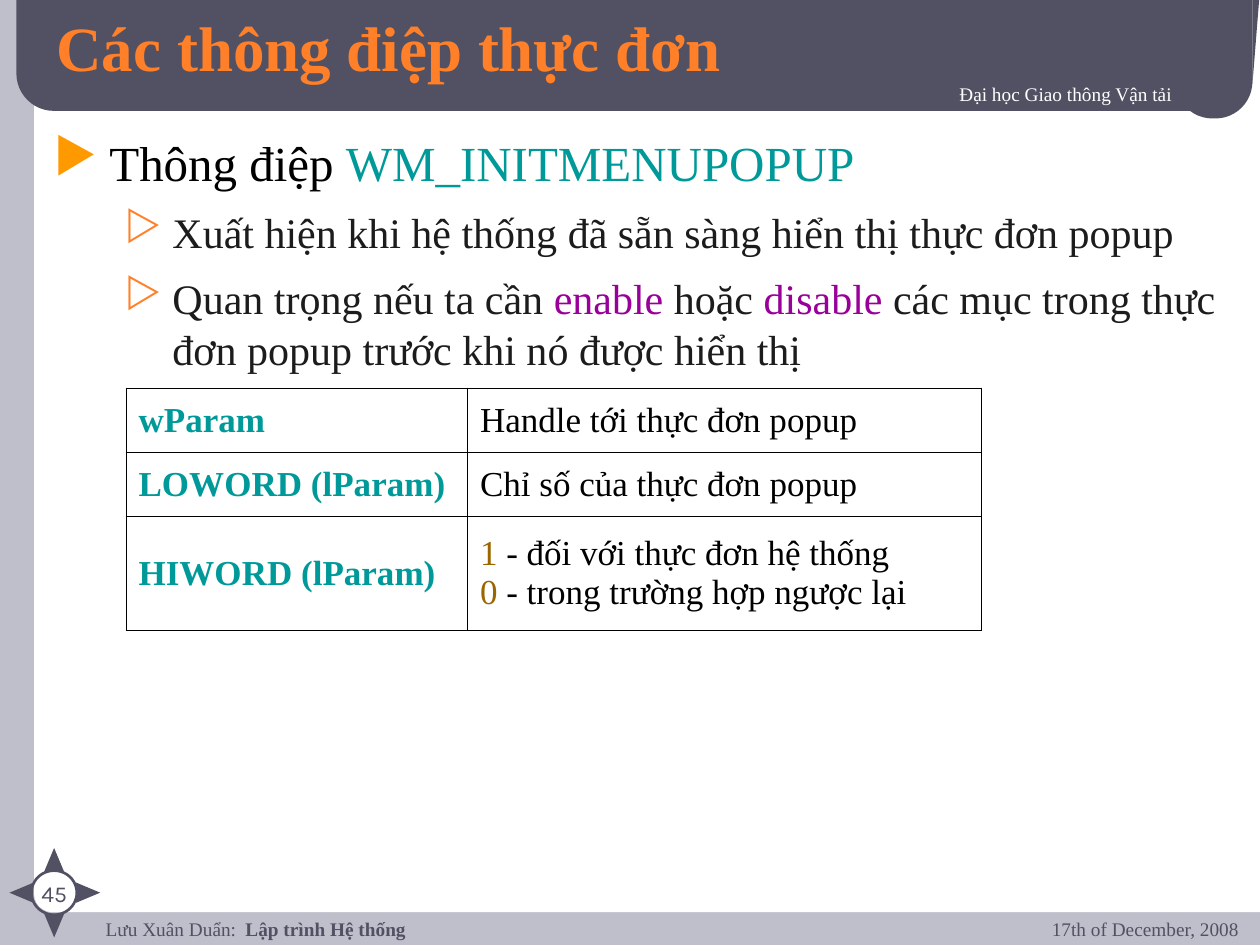
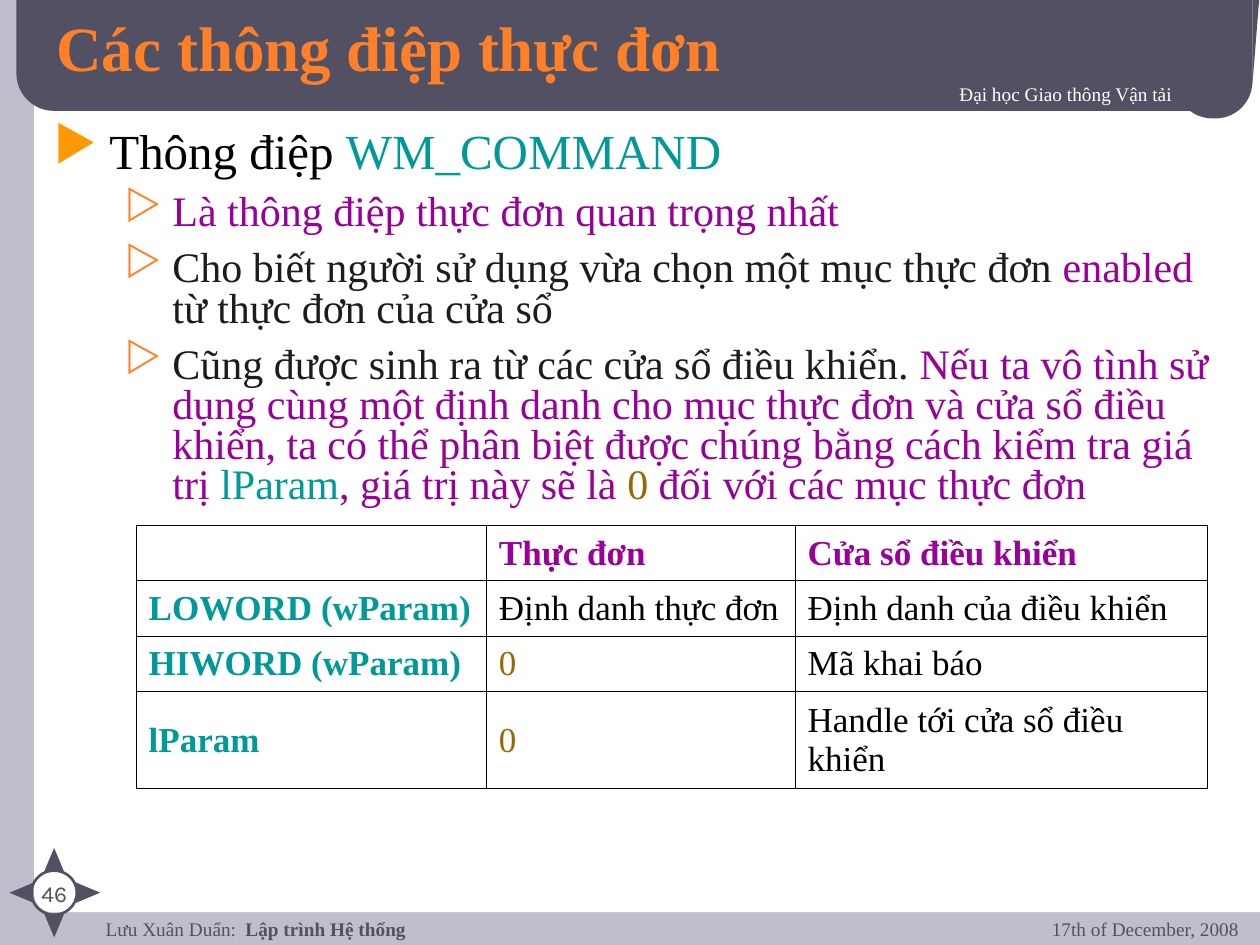
from lxml.etree import SubElement
from pptx import Presentation
from pptx.dml.color import RGBColor
from pptx.enum.shapes import MSO_SHAPE
from pptx.enum.text import MSO_ANCHOR, PP_ALIGN
from pptx.oxml.ns import qn
from pptx.util import Inches, Pt

# Grid: 100 columns by 75 rows of square cells
CELL = 0.1
COLUMNS, ROWS = 100, 75

SERIF, SANS = "Times New Roman", "Karla"
SLATE, LAVENDER, WHITE = "515163", "BFBFCB", "FFFFFF"
ORANGE, AMBER = "FF8029", "FF9900"
BLACK, INK = "000000", "1C1C1C"
TEAL, PURPLE, BROWN = "009999", "990099", "996600"

TITLE = "Các thông điệp thực đơn"
LINE_HEIGHT = 1.2
# Bullet levels: symbol, symbol colour, margin, hanging indent, size, space before
LEVELS = [
    ("▶", AMBER, 4.4, 4.4, 28, 0),
    ("▷", ORANGE, 9.4, 3.8, 24, 9),
]


def cells(count):
    return Inches(count * CELL)


def color(hex_code):
    return RGBColor.from_string(hex_code)


def set_font(font, size, hex_code=None, bold=None, name=SERIF):
    font.size, font.name, font.bold = Pt(size), name, bold
    if hex_code:
        font.color.rgb = color(hex_code)


def add_solid(parent, hex_code):
    solid = SubElement(parent, qn("a:solidFill"))
    SubElement(solid, qn("a:srgbClr"), val=hex_code)


def add_runs(paragraph, runs):
    """Each run is a (text, colour) pair."""
    for text, hex_code in runs:
        run = paragraph.add_run()
        run.text = text
        run.font.color.rgb = color(hex_code)


def add_preset(slide, kind, area, fill=SLATE, rounding=None, turn=0):
    shape = slide.shapes.add_shape(kind, *map(cells, area))
    shape.shadow.inherit = False
    shape.rotation = turn
    shape.line.fill.background()
    if rounding is not None:
        shape.adjustments[0] = rounding
    if fill:
        shape.fill.solid()
        shape.fill.fore_color.rgb = color(fill)
    else:
        shape.fill.background()
    return shape


def add_frame(slide, area):
    frame = slide.shapes.add_textbox(*map(cells, area)).text_frame
    frame.word_wrap = True
    return frame


def add_label(slide, area, text, size, hex_code, align=PP_ALIGN.LEFT,
              bold=None, name=SERIF, shaded=False):
    frame = add_frame(slide, area)
    paragraph = frame.paragraphs[0]
    paragraph.alignment = align
    run = paragraph.add_run()
    run.text = text
    set_font(paragraph.font, size, hex_code, bold, name)
    if shaded:
        effects = SubElement(run.font._element, qn("a:effectLst"))
        shadow = SubElement(effects, qn("a:outerShdw"), dist="25400", dir="2700000")
        SubElement(shadow, qn("a:srgbClr"), val=BLACK)
    return frame


# Parts shared by all slides
def add_compass(slide, number):
    add_label(slide, (1.4, 69.3, 5.8, 2.2), str(number), 13, SLATE,
              PP_ALIGN.CENTER, name=SANS)
    ring = add_preset(slide, MSO_SHAPE.OVAL, (2.5, 69.1, 3.6, 3.5), fill=None)
    ring.line.color.rgb = color(SLATE)
    ring.line.width = Pt(1.5)
    points = [(3.5, 67.3), (6.2, 69.9), (3.5, 72.5), (0.9, 69.9)]
    for quarter, (left, top) in enumerate(points):
        add_preset(slide, MSO_SHAPE.ISOSCELES_TRIANGLE, (left, top, 1.6, 1.9),
                   turn=90 * quarter)


def add_footer(slide):
    frame = add_frame(slide, (7.4, 72.8, 77.4, 3.3))
    frame.margin_top = frame.margin_bottom = 0
    credit = frame.paragraphs[0]
    tabs = SubElement(credit._p.get_or_add_pPr(), qn("a:tabLst"))
    SubElement(tabs, qn("a:tab"), pos=str(cells(11.1)), algn="l")
    credit.add_run().text = "Lưu Xuân Duẩn:\t"
    course = credit.add_run()
    course.text = "Lập trình Hệ thống"
    course.font.bold = True
    set_font(credit.font, 11, SLATE)
    add_label(slide, (75.2, 72.3, 24.1, 4.2), "17th of December, 2008", 11, SLATE,
              PP_ALIGN.RIGHT)


def add_base(deck, number):
    slide = deck.slides.add_slide(deck.slide_layouts[6])
    slide.background.fill.solid()
    slide.background.fill.fore_color.rgb = color(LAVENDER)
    rounded = MSO_SHAPE.ROUNDED_RECTANGLE
    add_preset(slide, rounded, (2.7, -1.3, 100.1, 73.7), WHITE, 0.02)
    # Title band with its drop and slanted edge
    add_preset(slide, rounded, (1.3, -3.6, 98.1, 12.4), rounding=0.24)
    add_preset(slide, rounded, (93.3, 2.9, 6.1, 6.5), rounding=0.48)
    edge = add_preset(slide, MSO_SHAPE.RIGHT_TRIANGLE, (99.4, -0.8, 0.6, 7.5))
    edge._element.spPr.xfrm.set("flipV", "1")
    add_compass(slide, number)
    add_label(slide, (30.3, 6, 63.7, 3.8), "Đại học Giao thông Vận tải", 11, WHITE,
              PP_ALIGN.RIGHT, shaded=True)
    add_footer(slide)
    heading = add_label(slide, (3.5, 0.8, 83.6, 5.7), TITLE, 36, ORANGE,
                        bold=True, shaded=True)
    heading.vertical_anchor = MSO_ANCHOR.MIDDLE
    return slide


# Bulleted text: the first point is the heading, the rest lie below it
def add_points(slide, rows, points, spacing=1):
    frame = add_frame(slide, (3.3, 10, 94.2, rows))
    for index, runs in enumerate(points):
        level = min(index, 1)
        symbol, symbol_color, margin, hang, size, before = LEVELS[level]
        paragraph = frame.add_paragraph() if index else frame.paragraphs[0]
        paragraph.level = level
        paragraph.line_spacing = Pt(round(size * LINE_HEIGHT * spacing, 1))
        paragraph.space_before = Pt(before)
        properties = paragraph._p.get_or_add_pPr()
        properties.set("marL", str(cells(margin)))
        properties.set("indent", str(-cells(hang)))
        bullet_color = SubElement(properties, qn("a:buClr"))
        SubElement(bullet_color, qn("a:srgbClr"), val=symbol_color)
        SubElement(properties, qn("a:buChar"), char=symbol)
        add_runs(paragraph, runs)
        set_font(paragraph.font, size)


# Tables
def add_borders(cell):
    properties = cell._tc.get_or_add_tcPr()
    for position, side in enumerate(("lnL", "lnR", "lnT", "lnB")):
        border = SubElement(properties, qn(f"a:{side}"), w=str(Pt(0.45)))
        add_solid(border, BLACK)
        properties.insert(position, border)


def fill_cell(cell, lines, bold):
    cell.fill.background()
    add_borders(cell)
    cell.vertical_anchor = MSO_ANCHOR.MIDDLE
    for index, runs in enumerate(lines):
        frame = cell.text_frame
        paragraph = frame.add_paragraph() if index else frame.paragraphs[0]
        add_runs(paragraph, runs)
        set_font(paragraph.font, 20, bold=bold)


def add_grid(slide, left, top, widths, heights, content, header=False):
    """content holds rows of cells; a cell is a list of lines of runs."""
    table = slide.shapes.add_table(
        len(heights), len(widths), cells(left), cells(top),
        cells(sum(widths)), cells(sum(heights))).table
    table.first_row = table.horz_banding = False
    for column, width in zip(table.columns, widths):
        column.width = cells(width)
    for row, height in zip(table.rows, heights):
        row.height = cells(height)
    for r, line in enumerate(content):
        for c, lines in enumerate(line):
            fill_cell(table.cell(r, c), lines, bold=c == 0 or (header and r == 0))


def entry(text, hex_code=BLACK):
    return [[(text, hex_code)]]


def show_init_menu_popup(deck):
    slide = add_base(deck, 45)
    add_points(slide, 20.2, [
        [("Thông điệp ", BLACK), ("WM_INITMENUPOPUP", TEAL)],
        [("Xuất hiện khi hệ thống đã sẵn sàng hiển thị thực đơn popup", INK)],
        [("Quan trọng nếu ta cần ", INK), ("enable", PURPLE), (" hoặc ", INK),
         ("disable", PURPLE),
         (" các mục trong thực đơn popup trước khi nó được hiển thị", INK)],
    ])
    add_grid(slide, 10, 30.8, [27.1, 40.8], [5.1, 5.1, 9], [
        [entry("wParam", TEAL), entry("Handle tới thực đơn popup")],
        [entry("LOWORD (lParam)", TEAL), entry("Chỉ số của thực đơn popup")],
        [entry("HIWORD (lParam)", TEAL),
         [[("1", BROWN), (" - đối với thực đơn hệ thống", BLACK)],
          [("0", BROWN), (" - trong trường hợp ngược lại", BLACK)]]],
    ])


def show_command(deck):
    slide = add_base(deck, 46)
    add_points(slide, 30.9, [
        [("Thông điệp ", BLACK), ("WM_COMMAND", TEAL)],
        [("Là thông điệp thực đơn quan trọng nhất", PURPLE)],
        [("Cho biết người sử dụng vừa chọn một mục thực đơn ", INK),
         ("enabled", PURPLE), (" từ thực đơn của cửa sổ", INK)],
        [("Cũng được sinh ra từ các cửa sổ điều khiển. ", INK),
         ("Nếu ta vô tình sử dụng cùng một định danh cho mục thực đơn và cửa sổ "
          "điều khiển, ta có thể phân biệt được chúng bằng cách kiểm tra giá trị ",
          PURPLE),
         ("lParam", TEAL), (", giá trị này sẽ là ", PURPLE), ("0", BROWN),
         (" đối với các mục thực đơn", PURPLE)],
    ], spacing=0.8)
    add_grid(slide, 10.8, 41.7, [27.8, 24.5, 32.7], [4.4, 4.4, 4.4, 7.7], [
        [[], entry("Thực đơn", PURPLE), entry("Cửa sổ điều khiển", PURPLE)],
        [entry("LOWORD (wParam)", TEAL), entry("Định danh thực đơn"),
         entry("Định danh của điều khiển")],
        [entry("HIWORD (wParam)", TEAL), entry("0", BROWN), entry("Mã khai báo")],
        [entry("lParam", TEAL), entry("0", BROWN),
         entry("Handle tới cửa sổ điều khiển")],
    ], header=True)


def main():
    deck = Presentation()
    deck.slide_width, deck.slide_height = cells(COLUMNS), cells(ROWS)
    show_init_menu_popup(deck)
    show_command(deck)
    deck.save("out.pptx")


if __name__ == "__main__":
    main()
